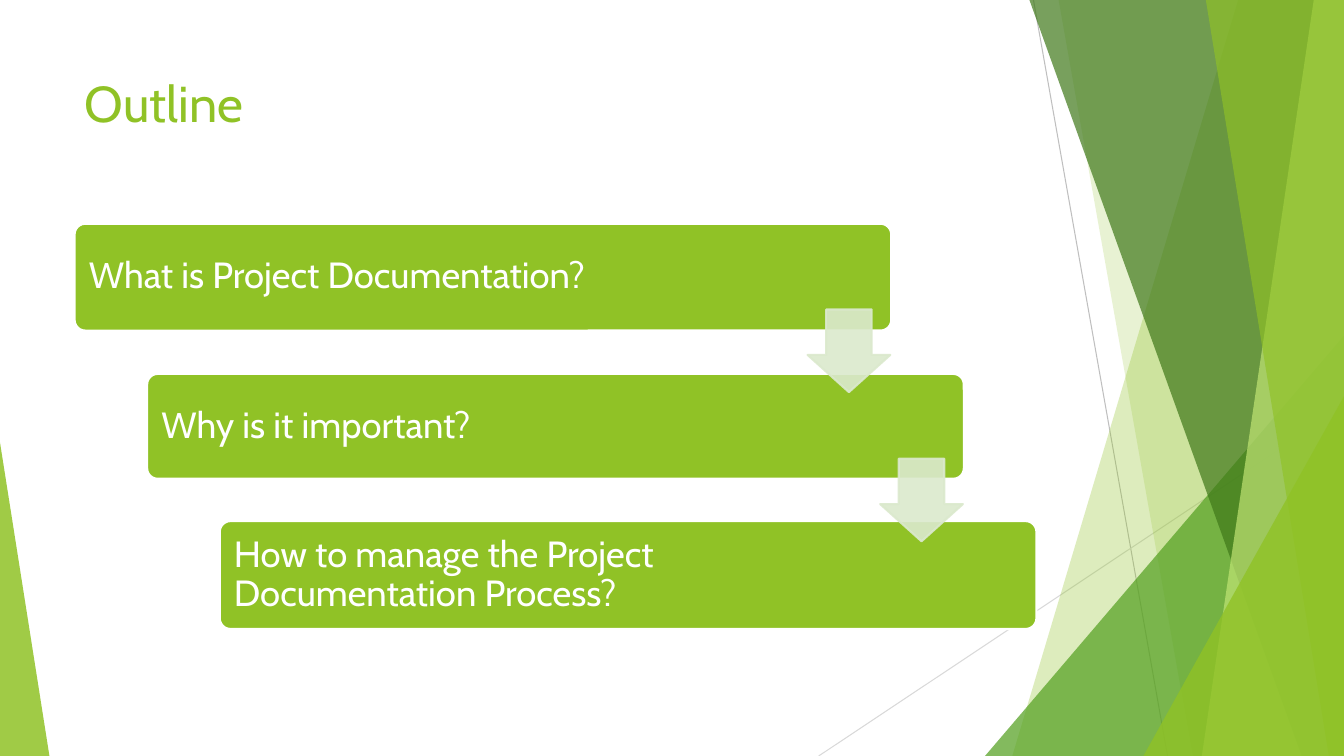
from lxml.etree import SubElement
from pptx import Presentation
from pptx.dml.color import RGBColor
from pptx.enum.shapes import MSO_CONNECTOR, MSO_SHAPE
from pptx.enum.text import MSO_ANCHOR, PP_ALIGN
from pptx.oxml.ns import qn
from pptx.util import Inches, Pt

COLORS = {
    "lime": "90C226",
    "green": "54A021",
    "forest": "3F7819",
    "pale_lime": "C0E474",
    "arrow": "DBE9CD",
    "white": "FFFFFF",
    "gray": "BFBFBF",
    "light_gray": "D9D9D9",
}
FONT = "Cabin"
WIDTH, HEIGHT = 13.33, 7.5

# Facets: left x at the top, left x at the bottom, color, opacity in percent
LIGHT_FACETS = [(12.28, 10.04, "lime", 30), (10.5, 11.83, "lime", 20)]
DARK_FACETS = [
    (10.21, 12.91, "forest", 70),
    (13.03, 11.92, "pale_lime", 70),
    (11.96, 13.18, "lime", 65),
]

# Outline steps: text, top, height
STEPS = [
    ("What is Project Documentation?", 2.22, 1.06),
    ("Why is it important?", 3.71, 1.04),
    ("How to manage the Project Documentation Process?", 5.17, 1.07),
]
STEP_INDENT = 0.72


def set_color(color_format, name, opacity=100):
    color_format.rgb = RGBColor.from_string(COLORS[name])
    if opacity < 100:
        color = color_format._xFill.find(qn("a:srgbClr"))
        SubElement(color, qn("a:alpha"), val=str(opacity * 1000))


def paint(shape, color, opacity=100, line=None):
    """Fill a shape; line is a color name, or None for no outline."""
    shape.shadow.inherit = False
    shape.fill.solid()
    set_color(shape.fill.fore_color, color, opacity)
    if line is None:
        shape.line.fill.background()
    else:
        shape.line.fill.solid()
        set_color(shape.line.fill.fore_color, line, opacity)
        shape.line.width = Pt(1.5)


def set_text(text_frame, text, *, size, color, anchor, line_spacing=None):
    text_frame.word_wrap = True
    text_frame.vertical_anchor = anchor
    paragraph = text_frame.paragraphs[0]
    paragraph.text = text
    paragraph.alignment = PP_ALIGN.LEFT
    paragraph.line_spacing = line_spacing
    paragraph.font.name = FONT
    paragraph.font.size = Pt(size)
    set_color(paragraph.font.color, color)


def add_shape(slide, kind, left, top, width, height, adjustments):
    shape = slide.shapes.add_shape(
        kind, Inches(left), Inches(top), Inches(width), Inches(height))
    for index, value in enumerate(adjustments):
        shape.adjustments[index] = value
    return shape


def add_thin_line(slide, start, end, color):
    connector = slide.shapes.add_connector(
        MSO_CONNECTOR.STRAIGHT, *map(Inches, start + end))
    connector.line.width = Pt(0.75)
    connector.line.fill.solid()
    set_color(connector.line.fill.fore_color, color)
    SubElement(connector._element.spPr, qn("a:effectLst"))


def add_facet(slide, top_x, bottom_x, color, opacity):
    builder = slide.shapes.build_freeform(Inches(top_x), 0)
    corners = [(WIDTH, 0), (WIDTH, HEIGHT), (bottom_x, HEIGHT)]
    builder.add_line_segments([(Inches(x), Inches(y)) for x, y in corners])
    paint(builder.convert_to_shape(), color, opacity)


def add_corner(slide, left, top, right, apex, color, opacity):
    """Triangle standing on the bottom edge of the slide."""
    triangle = add_shape(slide, MSO_SHAPE.ISOSCELES_TRIANGLE, left, top,
                         right - left, HEIGHT - top, [apex])
    paint(triangle, color, opacity)


def add_background(slide):
    add_thin_line(slide, (10.25, 0), (11.58, HEIGHT), "gray")
    add_thin_line(slide, (WIDTH, 4.03), (8.12, HEIGHT), "light_gray")
    for facet in LIGHT_FACETS:
        add_facet(slide, *facet)
    add_corner(slide, 9.77, 3.33, WIDTH, 1, "green", 72)
    for facet in DARK_FACETS:
        add_facet(slide, *facet)
    add_corner(slide, 11.34, 3.93, WIDTH, 1, "lime", 80)
    add_corner(slide, 0, 4.39, 0.49, 0, "lime", 85)


def add_title(slide, text):
    title = slide.shapes.title
    title.left, title.top = Inches(0.74), Inches(0.67)
    title.width, title.height = Inches(9.4), Inches(1.44)
    set_text(title.text_frame, text, size=36, color="lime",
             anchor=MSO_ANCHOR.TOP)


def add_step(slide, index, text, top, height):
    bar = add_shape(slide, MSO_SHAPE.ROUNDED_RECTANGLE,
                    0.74 + STEP_INDENT * index, top, 8.1, height, [0.1])
    paint(bar, "lime", line="white")
    frame = bar.text_frame
    frame.margin_left = frame.margin_top = frame.margin_bottom = Inches(0.11)
    frame.margin_right = Inches(1.66)  # keeps the text clear of the arrow
    set_text(frame, text, size=26, color="white",
             anchor=MSO_ANCHOR.MIDDLE, line_spacing=0.9)


def add_step_arrow(slide, index):
    arrow = add_shape(slide, MSO_SHAPE.DOWN_ARROW, 8.01 + STEP_INDENT * index,
                      3.07 + 1.48 * index, 0.82, 0.82, [0.55, 0.45])
    paint(arrow, "arrow", 90, line="arrow")


def main():
    presentation = Presentation()
    presentation.slide_width = Inches(WIDTH)
    presentation.slide_height = Inches(HEIGHT)
    slide = presentation.slides.add_slide(presentation.slide_layouts[5])

    # Faceted background and title
    add_background(slide)
    add_title(slide, "Outline")

    # Staircase of steps, then the arrows that link them
    for index, step in enumerate(STEPS):
        add_step(slide, index, *step)
    for index in range(len(STEPS) - 1):
        add_step_arrow(slide, index)

    presentation.save("out.pptx")


if __name__ == "__main__":
    main()
